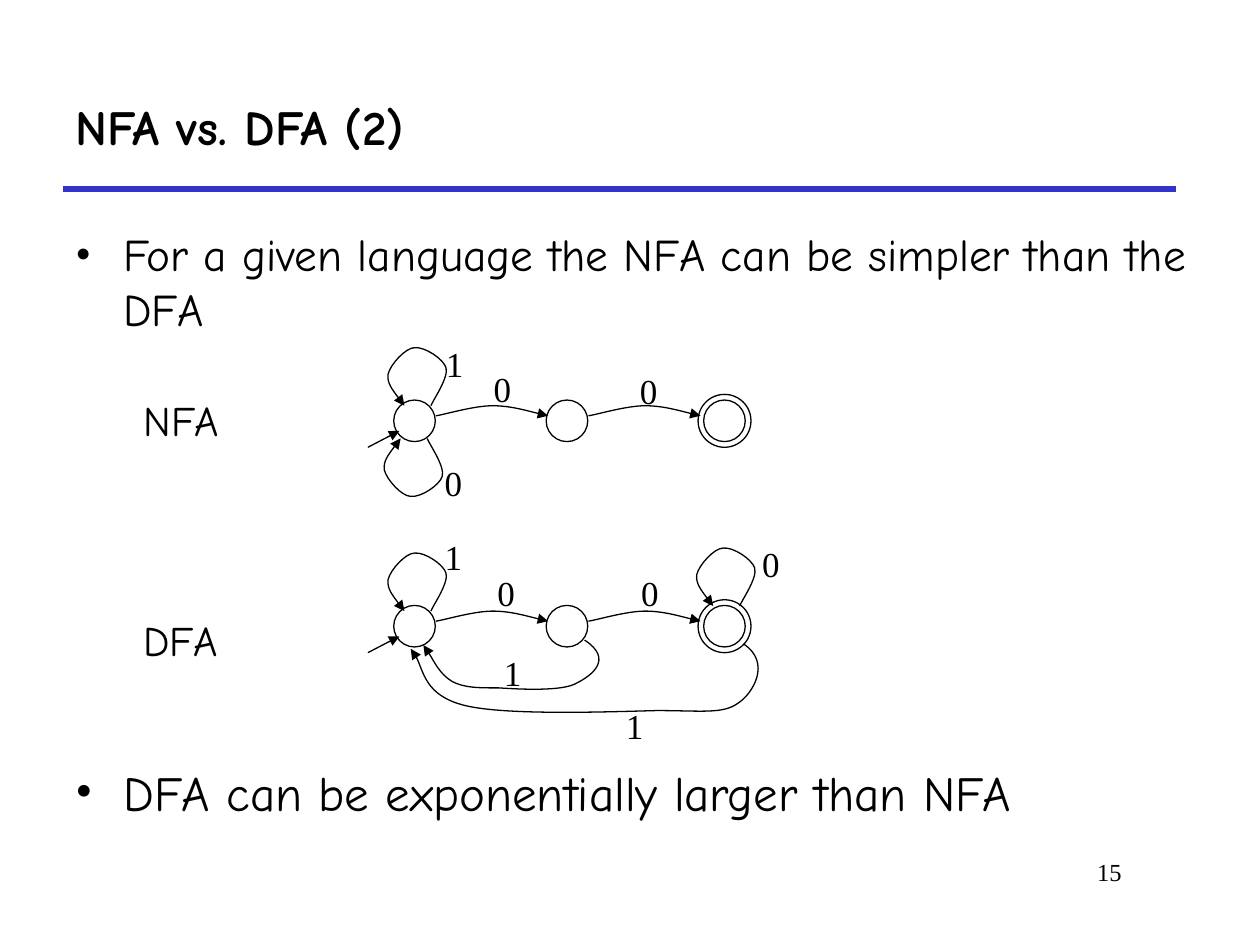
from typing import NamedTuple

from lxml.etree import SubElement
from pptx import Presentation
from pptx.dml.color import RGBColor
from pptx.enum.shapes import MSO_CONNECTOR, MSO_SHAPE
from pptx.enum.text import MSO_ANCHOR, PP_ALIGN
from pptx.oxml.ns import qn
from pptx.util import Inches, Pt

BLACK = RGBColor(0, 0, 0)
BLUE = RGBColor(0x33, 0x33, 0xCC)
HAND, SERIF = "Comic Neue", "Times New Roman"

COLS = (3.29, 4.5, 5.75)  # state centres
ROWS = (3.34, 4.97)       # one row per automaton
STATE, RING = 0.33, 0.42

# Cubic Bezier points: a start, then three points for each segment.
# ARC and LOOP are relative to their own state, BACK and FAR to the first.
ARC = ((.17, -.04), (.24, -.05), (.47, -.12), (.62, -.12),
       (.76, -.12), (.97, -.06), (1.06, -.04))
LOOP = ((.13, -.12), (.15, -.17), (.27, -.34), (.25, -.42),
        (.23, -.49), (.08, -.59), (0, -.58),
        (-.07, -.58), (-.19, -.45), (-.21, -.37),
        (-.22, -.30), (-.15, -.21), (-.08, -.12))
BACK = ((1.35, .11), (1.58, .26), (1.41, .39), (1.29, .45),
        (1.18, .52), (.83, .50), (.67, .49),
        (.50, .49), (.40, .49), (.30, .44),
        (.20, .38), (.12, .21), (.07, .15))
FAR = ((2.61, .14), (2.84, .29), (2.68, .54), (2.57, .61),
       (2.45, .70), (2.28, .67), (1.92, .67),
       (1.55, .68), (.73, .71), (.40, .63),
       (.08, .55), (.06, .27), (-.03, .18))


class Edge(NamedTuple):
    curve: tuple
    label: str
    place: tuple          # label corner, relative to the first state
    start: tuple = (0, 0)  # curve origin, relative to the first state
    flip: int = 1


class Machine(NamedTuple):
    name: str
    row: float
    top: float
    edges: tuple


NEXT = (COLS[1] - COLS[0], 0)
MACHINES = (
    Machine("NFA", ROWS[0], 3.08, (
        Edge(ARC, "0", (.53, -.47)),
        Edge(LOOP, "1", (.15, -.67)),
        Edge(ARC, "0", (1.69, -.46), NEXT),
        Edge(LOOP, "0", (.14, .27), (-.03, .02), -1))),
    Machine("DFA", ROWS[1], 4.83, (
        Edge(ARC, "0", (.56, -.48)),
        Edge(LOOP, "1", (.14, -.77)),
        Edge(ARC, "0", (1.70, -.48), NEXT),
        Edge(BACK, "1", (.61, .15)),
        Edge(LOOP, "0", (2.66, -.71), (2.45, -.04)),
        Edge(FAR, "1", (1.58, .57)))),
)


def stroke(shape, color: RGBColor = BLACK, width: float = 0.75,
           arrow: bool = False) -> None:
    shape.line.color.rgb = color
    shape.line.width = Pt(width)
    if arrow:
        SubElement(shape.line._get_or_add_ln(), qn("a:tailEnd"), type="triangle")


def add_line(shapes, start: tuple, end: tuple, **style) -> None:
    ends = [Inches(v) for v in start + end]
    line = shapes.add_connector(MSO_CONNECTOR.STRAIGHT, *ends)
    SubElement(line._element.spPr, qn("a:effectLst"))
    stroke(line, **style)


def add_ring(shapes, x: float, y: float, size: float) -> None:
    ring = shapes.add_shape(MSO_SHAPE.OVAL, Inches(x - size / 2),
                            Inches(y - size / 2), Inches(size), Inches(size))
    ring.shadow.inherit = False
    ring.fill.background()
    stroke(ring)


def add_curve(shapes, pts: list) -> None:
    """Draw the points as a freeform, each three line steps joined to a cubic."""
    pen, *rest = [(Inches(x), Inches(y)) for x, y in pts]
    form = shapes.build_freeform(*pen)
    form.add_line_segments(rest, close=False)
    curve = form.convert_to_shape()
    steps = list(curve._element.iter(qn("a:lnTo")))
    for i in range(0, len(steps), 3):
        cubic = SubElement(steps[i].getparent(), qn("a:cubicBezTo"))
        for step in steps[i:i + 3]:
            cubic.append(step[0])
            step.getparent().remove(step)
    curve.shadow.inherit = False
    curve.fill.background()
    stroke(curve, arrow=True)


def add_text(shapes, text: str, box: tuple, size: float, font: str = HAND,
             wrap: bool = True, bold: bool = False, bullet: bool = False,
             align=PP_ALIGN.LEFT, anchor=MSO_ANCHOR.TOP) -> None:
    frame = shapes.add_textbox(*map(Inches, box)).text_frame
    frame.word_wrap = wrap
    frame.vertical_anchor = anchor
    para = frame.paragraphs[0]
    para.text = text
    para.alignment = align
    face = para.runs[0].font
    face.name, face.size, face.bold = font, Pt(size), bold
    face.color.rgb = BLACK
    if bullet:
        para.space_before = Pt(7)
        props = para._p.get_or_add_pPr()
        props.set("marL", str(Inches(0.38)))
        props.set("indent", str(Inches(-0.38)))
        SubElement(props, qn("a:buFont"), typeface=SERIF)
        SubElement(props, qn("a:buChar"), char="•")


def add_machine(slide, machine: Machine) -> None:
    shapes = slide.shapes.add_group_shape().shapes
    left, row = COLS[0], machine.row
    for x in COLS:
        add_ring(shapes, x, row, STATE)
    add_ring(shapes, COLS[-1], row, RING)
    add_line(shapes, (left - .37, row + .21), (left - .12, row + .08), arrow=True)
    for edge in machine.edges:
        dx, dy = edge.start
        add_curve(shapes, [(left + dx + x, row + dy + edge.flip * y)
                           for x, y in edge.curve])
        x, y = edge.place
        add_text(shapes, edge.label, (left + x, row + y, .34, .44), 20, SERIF,
                 wrap=False)
    add_text(slide.shapes, machine.name, (1.04, machine.top, .8, .5), 24,
             wrap=False)


def main() -> None:
    deck = Presentation()
    deck.slide_width, deck.slide_height = Inches(10), Inches(7.5)
    slide = deck.slides.add_slide(deck.slide_layouts[6])
    shapes = slide.shapes
    add_line(shapes, (.5, 1.5), (9.33, 1.5), color=BLUE, width=3)
    add_text(shapes, "NFA vs. DFA (2)", (.5, .5, 8.83, 1), 28, bold=True,
             anchor=MSO_ANCHOR.MIDDLE)
    add_text(shapes, "For a given language the NFA can be simpler than the DFA",
             (.5, 1.75, 9.08, 1), 25.9, bullet=True)
    for machine in MACHINES:
        add_machine(slide, machine)
    add_text(shapes, "DFA can be exponentially larger than NFA",
             (.5, 6, 9.08, .67), 28, bullet=True)
    add_text(shapes, "15", (7.58, 6.75, 1.42, .5), 14, SERIF,
             align=PP_ALIGN.RIGHT)
    deck.save("out.pptx")


if __name__ == "__main__":
    main()
